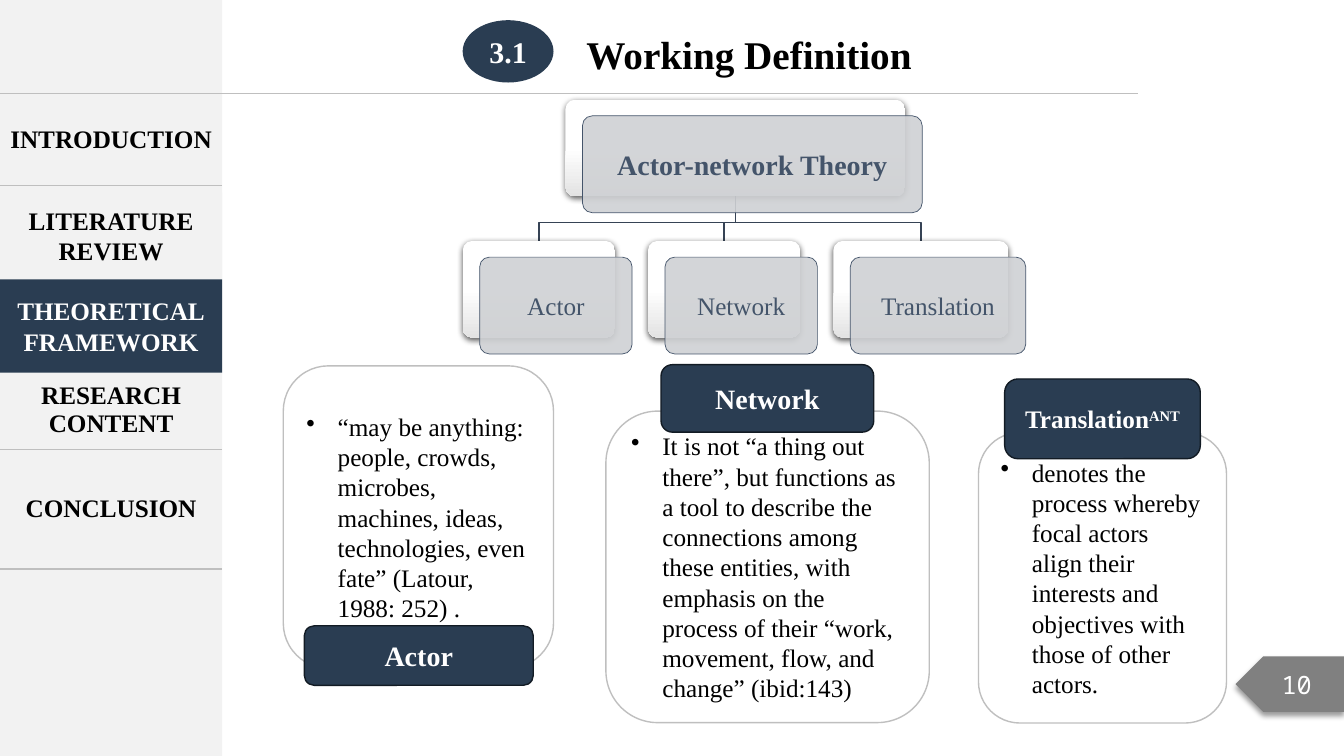
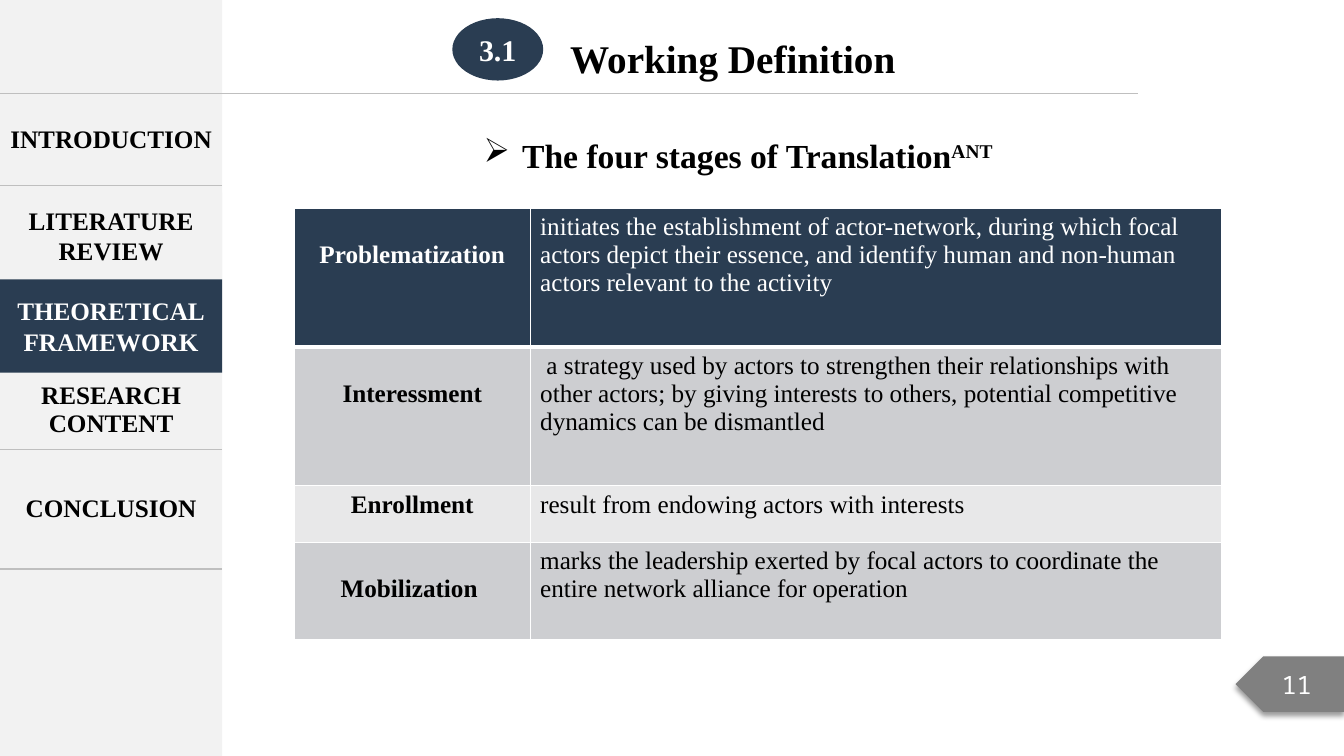
from lxml import etree
from pptx import Presentation
from pptx.dml.color import RGBColor
from pptx.enum.shapes import MSO_CONNECTOR, MSO_SHAPE as SHAPE
from pptx.enum.text import MSO_ANCHOR as ANCHOR, PP_ALIGN as ALIGN
from pptx.oxml.ns import qn
from pptx.util import Cm, Pt

# Colours
NAVY = RGBColor(0x2A, 0x3D, 0x52)
NAVY_EDGE = RGBColor(0x12, 0x1B, 0x24)
SLATE = RGBColor(0x44, 0x54, 0x6A)
TREE_LINE = RGBColor(0x36, 0x43, 0x55)
CARD_GREY = RGBColor(0xCF, 0xD1, 0xD4)
CARD_SHADE = RGBColor(0xE3, 0xE3, 0xE3)
ROW_DARK = RGBColor(0xCD, 0xCE, 0xD1)
ROW_LIGHT = RGBColor(0xE8, 0xE8, 0xE9)
PANEL = RGBColor(0xF2, 0xF2, 0xF2)
RULE = RGBColor(0xBF, 0xBF, 0xBF)
PAGE_GREY = RGBColor(0x80, 0x80, 0x80)
BLACK = RGBColor(0, 0, 0)
WHITE = RGBColor(0xFF, 0xFF, 0xFF)

# Text styles
SERIF = "Times New Roman"
BODY = {"name": SERIF, "size": Pt(18), "bold": False}
STRONG = {**BODY, "bold": True}
LABEL = {**STRONG, "size": Pt(20)}
BADGE = {**STRONG, "size": Pt(21.4)}
SUBTITLE = {**STRONG, "size": Pt(24)}
TITLE = {**STRONG, "size": Pt(28)}
PAGE = {"name": "Noto Sans Mono", "size": Pt(18)}

# Shared measures in cm
SIDEBAR_W = 5.6
HEADER_Y = 2.35
SIDEBAR_ROWS = (2.33, 2.33, 2.33, 1.98, 3.02)
CARD_H = 2.44
CARD_SHIFT = (0.43, 0.41)
NO_TABLE_STYLE = "{2D5ABB26-0587-4C30-8999-92F81FD0307C}"


def cm(*lengths):
    return [Cm(length) for length in lengths]


def add_xml(parent, tag, **attributes):
    return etree.SubElement(parent, qn(tag), attributes)


def write(frame, text, style, color, align=ALIGN.CENTER, bullet=None, indent=0.79):
    """Fill a text frame; text after ^ in a line is raised."""
    frame.word_wrap = True
    for number, line in enumerate(text.split("\n")):
        paragraph = frame.add_paragraph() if number else frame.paragraphs[0]
        paragraph.alignment = align
        if bullet:
            properties = paragraph._p.get_or_add_pPr()
            properties.set("marL", str(Cm(indent)))
            properties.set("indent", str(-Cm(indent)))
            add_xml(properties, "a:buChar", char=bullet)
        base, _, raised = line.partition("^")
        for words in filter(None, (base, raised)):
            run = paragraph.add_run()
            run.text = words
            for name, value in style.items():
                setattr(run.font, name, value)
            run.font.color.rgb = color
            if words is raised:
                run._r.get_or_add_rPr().set("baseline", "30000")


def add_block(slide, kind, box, fill, edge=None, edge_width=1):
    block = slide.shapes.add_shape(kind, *cm(*box))
    block.shadow.inherit = False
    block.text_frame.vertical_anchor = ANCHOR.MIDDLE
    block.fill.solid()
    block.fill.fore_color.rgb = fill
    if edge is None:
        block.line.fill.background()
    else:
        block.line.color.rgb = edge
        block.line.width = Pt(edge_width)
    return block


def add_label(slide, kind, box, text, style, edge=None, fill=NAVY, color=WHITE):
    label = add_block(slide, kind, box, fill, edge)
    write(label.text_frame, text, style, color)
    return label


def add_text(slide, box, text, style, **layout):
    frame = slide.shapes.add_textbox(*cm(*box)).text_frame
    write(frame, text, style, BLACK, **layout)
    return frame


def cast_shadow(shape, alpha, blur, distance):
    effects = shape.element.spPr.find(qn("a:effectLst"))
    shadow = add_xml(effects, "a:outerShdw", blurRad=str(Pt(blur)),
                     dist=str(Pt(distance)), dir="5400000", rotWithShape="0")
    black = add_xml(shadow, "a:srgbClr", val="000000")
    add_xml(black, "a:alpha", val=str(alpha * 1000))


def add_grid(slide, left, top, widths, heights):
    table = slide.shapes.add_table(len(heights), len(widths),
                                   *cm(left, top, sum(widths), sum(heights))).table
    table.first_row = table.horz_banding = False
    table._tbl.tblPr.find(qn("a:tableStyleId")).text = NO_TABLE_STYLE
    for column, width in zip(table.columns, widths):
        column.width = Cm(width)
    for row, height in zip(table.rows, heights):
        row.height = Cm(height)
    return table


def set_borders(cell, color, **widths):
    """Widths in points by side, given in the order L, R, T, B."""
    properties = cell._tc.get_or_add_tcPr()
    for side, width in widths.items():
        border = add_xml(properties, f"a:ln{side}", w=str(Pt(width)))
        add_xml(add_xml(border, "a:solidFill"), "a:srgbClr", val=str(color))


# Parts on every slide
def add_sidebar(slide):
    add_block(slide, SHAPE.RECTANGLE, (0, 0, SIDEBAR_W, 19.05), PANEL)
    sections = add_grid(slide, 0, HEADER_Y, [SIDEBAR_W], SIDEBAR_ROWS)
    names = ("INTRODUCTION", "", "", "RESEARCH CONTENT", "CONCLUSION")
    for cell, name in zip(sections.iter_cells(), names):
        set_borders(cell, RULE, T=1, B=1)
        cell.vertical_anchor = ANCHOR.MIDDLE
        write(cell.text_frame, name, STRONG, BLACK)
    add_label(slide, SHAPE.RECTANGLE, (0, 4.85, SIDEBAR_W, 2.18),
              "LITERATURE\nREVIEW", STRONG, fill=PANEL, color=BLACK)
    add_label(slide, SHAPE.RECTANGLE, (0, 7.04, SIDEBAR_W, 2.35),
              "THEORETICAL\nFRAMEWORK", STRONG)


def add_header(slide, badge_at, title_at):
    rule = slide.shapes.add_connector(MSO_CONNECTOR.STRAIGHT,
                                      *cm(SIDEBAR_W, HEADER_Y, 28.68, HEADER_Y))
    rule.line.color.rgb = RULE
    rule.line.width = Pt(0.5)
    add_xml(rule._element.spPr, "a:effectLst")
    add_label(slide, SHAPE.OVAL, (*badge_at, 2.29, 1.57), "3.1", BADGE)
    add_text(slide, (*title_at, 9.35, 1.45), "Working Definition", TITLE,
             align=ALIGN.LEFT)


def add_page_number(slide, number):
    tag = add_label(slide, SHAPE.PENTAGON, (31.14, 16.54, 2.73, 1.4),
                    str(number), PAGE, fill=PAGE_GREY)
    tag.element.spPr.find(qn("a:xfrm")).set("flipH", "1")
    cast_shadow(tag, 40, 4, 3)


def start_slide(deck, number, badge_at, title_at):
    slide = deck.slides.add_slide(deck.slide_layouts[6])
    add_sidebar(slide)
    add_header(slide, badge_at, title_at)
    add_page_number(slide, number)
    return slide


# Theory tree
def add_card(slide, left, top, width, text, style):
    back = add_block(slide, SHAPE.ROUNDED_RECTANGLE, (left, top, width, CARD_H), WHITE)
    back.fill.gradient()
    back.fill.gradient_angle = 270
    for stop, color, position in zip(back.fill.gradient_stops,
                                     (WHITE, CARD_SHADE), (0.5, 1)):
        stop.color.rgb = color
        stop.position = position
    cast_shadow(back, 63, 4.5, 1.5)

    right_shift, down_shift = CARD_SHIFT
    front = add_block(slide, SHAPE.ROUNDED_RECTANGLE,
                      (left + right_shift, top + down_shift, width, CARD_H),
                      CARD_GREY, SLATE, 0.5)
    tint = front.element.spPr.find(qn("a:solidFill"))[0]
    add_xml(tint, "a:alpha", val="90000")
    for side in ("left", "right", "top", "bottom"):
        setattr(front.text_frame, f"margin_{side}", Cm(0.18))
    write(front.text_frame, text, style, SLATE)
    for card in (back, front):
        card.adjustments[0] = 0.1


def add_branch(slide, start, bend_y, end):
    (start_x, start_y), (end_x, end_y) = start, end
    builder = slide.shapes.build_freeform(*cm(start_x, start_y))
    corners = ((start_x, bend_y), (end_x, bend_y), (end_x, end_y))
    builder.add_line_segments([cm(*corner) for corner in corners], close=False)
    branch = builder.convert_to_shape()
    branch.shadow.inherit = False
    branch.fill.background()
    branch.line.color.rgb = TREE_LINE
    branch.line.width = Pt(1)


def add_theory_tree(slide):
    root_left, root_top, root_width = 14.25, 2.51, 8.56
    child_left, child_top, child_step = 11.66, 6.07, 4.67
    root_foot = (root_left + root_width / 2, root_top + CARD_H)
    children = [(child_left + place * child_step, width, name) for place, (name, width)
                in enumerate((("Actor", 3.84), ("Network", 3.84), ("Translation", 4.42)))]
    for left, width, _ in children:
        add_branch(slide, root_foot, 5.61, (left + width / 2, child_top))
    add_card(slide, root_left, root_top, root_width, "Actor-network Theory", LABEL)
    for left, width, name in children:
        add_card(slide, left, child_top, width, name, BODY)


def add_definition(slide, body_box, body, name_box, name, name_style=LABEL):
    panel = add_block(slide, SHAPE.ROUNDED_RECTANGLE, body_box, WHITE, RULE)
    write(panel.text_frame, body, BODY, BLACK, align=ALIGN.LEFT, bullet="•")
    add_label(slide, SHAPE.ROUNDED_RECTANGLE, name_box, name, name_style, NAVY_EDGE)


def add_stage_table(slide):
    stages = (
        ("Problematization", "initiates the establishment of actor-network, during which "
         "focal actors depict their essence, and identify human and non-human actors "
         "relevant to the activity", 3.5, NAVY, WHITE),
        ("Interessment", " a strategy used by actors to strengthen their relationships "
         "with other actors; by giving interests to others, potential competitive "
         "dynamics can be dismantled", 3.5, ROW_DARK, BLACK),
        ("Enrollment", "result from endowing actors with interests",
         1.42, ROW_LIGHT, BLACK),
        ("Mobilization ", "marks the leadership exerted by focal actors to coordinate "
         "the entire network alliance for operation", 2.46, ROW_DARK, BLACK),
    )
    table = add_grid(slide, 7.42, 5.24, (5.94, 17.42), [stage[2] for stage in stages])
    for row, (name, meaning, height, fill, color) in zip(table.rows, stages):
        name_cell, meaning_cell = row.cells
        for cell in row.cells:
            set_borders(cell, WHITE, L=1, R=1, T=3 if fill == ROW_DARK and
                        name == "Interessment" else 1, B=3 if fill == NAVY else 1)
            cell.fill.solid()
            cell.fill.fore_color.rgb = fill
        if height > 2:
            name_cell.margin_top = Cm(0.84)
        write(name_cell.text_frame, name, STRONG, color)
        write(meaning_cell.text_frame, meaning, BODY, color, align=ALIGN.LEFT)


# Slides
def build_definitions(deck):
    slide = start_slide(deck, 10, (11.66, 0.51), (14.53, 0.64))
    add_theory_tree(slide)
    add_definition(slide, (7.14, 9.22, 6.81, 7.62),
                   "“may be anything: people, crowds, microbes, machines, ideas, "
                   "technologies, even fate” (Latour, 1988: 252) .",
                   (7.67, 15.77, 5.77, 1.5), "Actor")
    add_definition(slide, (15.27, 10.36, 8.15, 7.85),
                   "It is not “a thing out there”, but functions as a tool to describe "
                   "the connections among these entities, with emphasis on the process "
                   "of their “work, movement, flow, and change” (ibid:143)",
                   (16.66, 9.19, 5.36, 1.7), "Network")
    add_definition(slide, (24.66, 10.9, 6.25, 7.32),
                   "denotes the process whereby focal actors align their interests and "
                   "objectives with those of other actors.",
                   (25.32, 9.55, 4.93, 2.01), "Translation^ANT", STRONG)


def build_stages(deck):
    slide = start_slide(deck, 11, (11.4, 0.46), (14.12, 0.74))
    heading = add_text(slide, (11.94, 2.97, 14.33, 1.47),
                       "The four stages of Translation^ANT", SUBTITLE,
                       align=ALIGN.JUSTIFY, bullet="➢", indent=0.97)
    heading.paragraphs[0].line_spacing = 1.3
    add_stage_table(slide)


def main():
    deck = Presentation()
    deck.slide_width, deck.slide_height = cm(33.87, 19.05)
    build_definitions(deck)
    build_stages(deck)
    deck.save("out.pptx")


if __name__ == "__main__":
    main()
